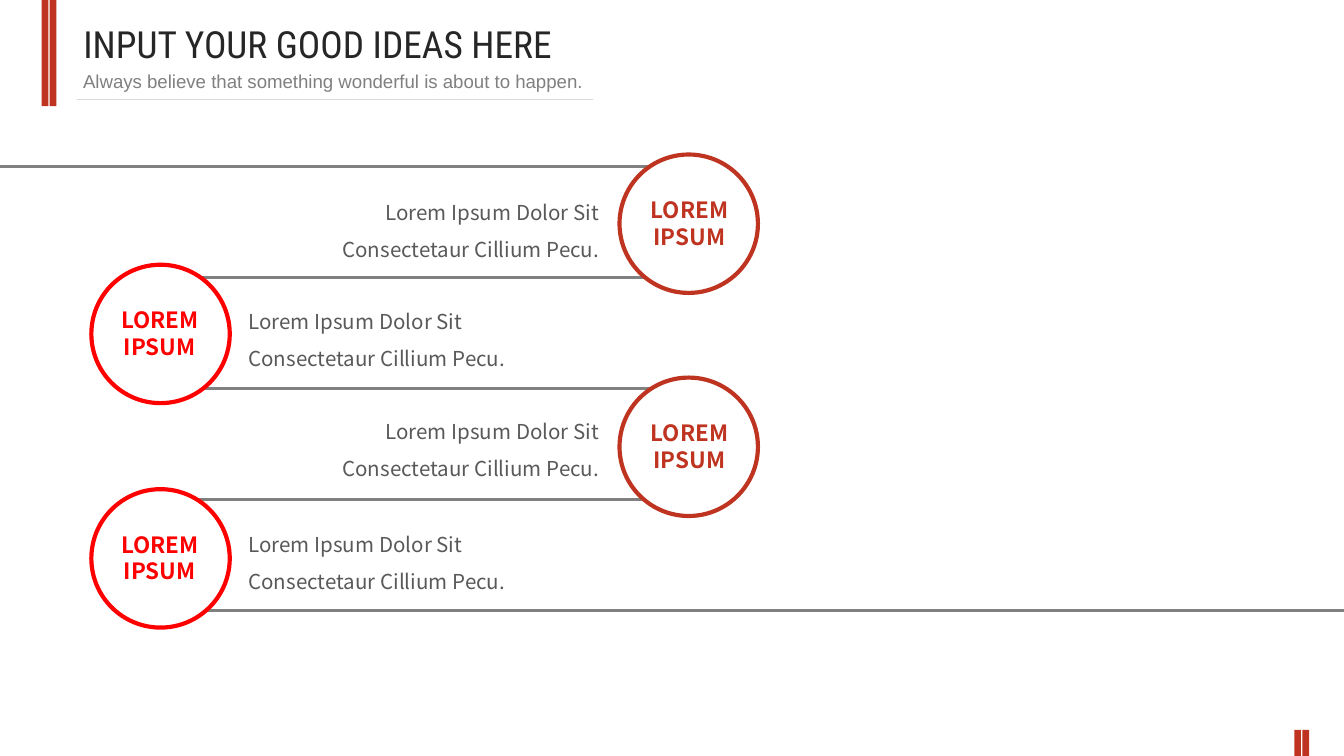
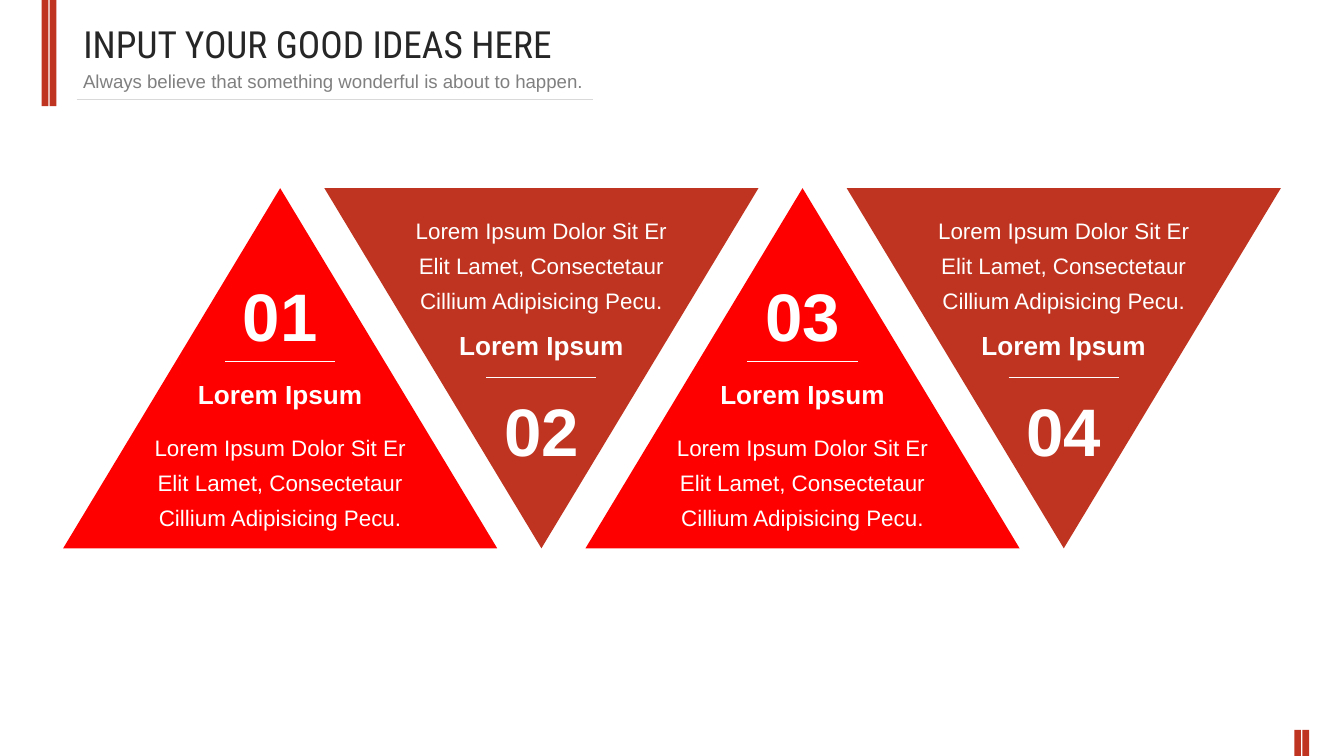
from dataclasses import dataclass

from lxml import etree
from pptx import Presentation
from pptx.dml.color import RGBColor
from pptx.enum.shapes import MSO_CONNECTOR, MSO_SHAPE
from pptx.enum.text import MSO_ANCHOR, MSO_AUTO_SIZE, PP_ALIGN
from pptx.oxml.ns import qn
from pptx.util import Inches, Pt

# Shared colours and fonts
BRICK = RGBColor(0xBF, 0x34, 0x20)
RED = RGBColor(0xFF, 0x00, 0x00)
WHITE = RGBColor(0xFF, 0xFF, 0xFF)
INK = RGBColor(0x26, 0x26, 0x26)
BODY_GREY = RGBColor(0x59, 0x59, 0x59)
GREY = RGBColor(0x80, 0x80, 0x80)
PALE_GREY = RGBColor(0xD9, 0xD9, 0xD9)
TITLE_FONT = "Roboto Condensed"
PLAIN_FONT = "Arial"
LABEL_FONT = "Noto Sans CJK SC"

# Widescreen page, 16 to 9
PAGE_WIDTH = 10
PAGE_HEIGHT = PAGE_WIDTH * 9 / 16


@dataclass(frozen=True)
class TextStyle:
    font: str
    size: float
    color: RGBColor
    bold: bool = False
    align: PP_ALIGN = PP_ALIGN.LEFT
    spacing: float = 1.0
    before: float = 0


TITLE = TextStyle(TITLE_FONT, 20, INK)
SUBTITLE = TextStyle(PLAIN_FONT, 10, GREY)
CENTER = PP_ALIGN.CENTER
HEADING = TextStyle(PLAIN_FONT, 14, WHITE, True, CENTER)
NUMBER = TextStyle(PLAIN_FONT, 36, WHITE, True, CENTER)
TRIANGLE_BODY = TextStyle(PLAIN_FONT, 12, WHITE, False, CENTER, 1.3, 6)


# Drawing helpers
def write(box, text: str, style: TextStyle, wrap: bool = True) -> None:
    frame = box.text_frame
    frame.text = text
    frame.word_wrap = wrap
    frame.auto_size = MSO_AUTO_SIZE.SHAPE_TO_FIT_TEXT
    frame.vertical_anchor = MSO_ANCHOR.TOP
    for para in frame.paragraphs:
        para.alignment = style.align
        para.line_spacing = style.spacing
        para.space_before = Pt(style.before)
        for span in para.runs:
            span.font.name = style.font
            span.font.size = Pt(style.size)
            span.font.bold = style.bold
            span.font.color.rgb = style.color


def add_text(page, left: float, top: float, width: float, height: float,
             text: str, style: TextStyle, wrap: bool = True) -> None:
    box = page.shapes.add_textbox(Inches(left), Inches(top), Inches(width), Inches(height))
    write(box, text, style, wrap)


def add_shape(page, kind: MSO_SHAPE, left: float, top: float, width: float,
              height: float, fill: RGBColor, outline: RGBColor | None = None):
    shape = page.shapes.add_shape(
        kind, Inches(left), Inches(top), Inches(width), Inches(height))
    shape.shadow.inherit = False
    shape.fill.solid()
    shape.fill.fore_color.rgb = fill
    if outline is None:
        shape.line.fill.background()
    else:
        shape.line.color.rgb = outline
        shape.line.width = Pt(2.25)
    return shape


def add_rule(page, start: float, end: float, top: float,
             color: RGBColor, weight: float) -> None:
    rule = page.shapes.add_connector(
        MSO_CONNECTOR.STRAIGHT, Inches(start), Inches(top), Inches(end), Inches(top))
    rule.line.color.rgb = color
    rule.line.width = Pt(weight)
    etree.SubElement(rule._element.spPr, qn("a:effectLst"))


def add_page(deck):
    """Add a page with the shared bars, title, subtitle and header rule."""
    page = deck.slides.add_slide(deck.slide_layouts[5])
    for left, top, height in ((0.31, 0, 0.79), (9.63, 5.43, PAGE_HEIGHT - 5.43)):
        for offset in (0, 0.06):
            add_shape(page, MSO_SHAPE.RECTANGLE, left + offset, top, 0.05, height, BRICK)
    add_rule(page, 0.57, 4.41, 0.74, PALE_GREY, 0.75)
    title = page.shapes.title
    title.left, title.top = Inches(0.52), Inches(0.11)
    title.width, title.height = Inches(4.23), Inches(0.44)
    write(title, "INPUT YOUR GOOD IDEAS HERE", TITLE)
    add_text(page, 0.52, 0.47, 4.23, 0.27,
             "Always\u00a0believe that something\u00a0wonderful is about to happen.", SUBTITLE)
    return page


# Zigzag of circles
@dataclass(frozen=True)
class Stop:
    on_right: bool
    circle_top: float
    body_top: float


STOPS = (Stop(True, 1.15, 1.35), Stop(False, 1.97, 2.16),
         Stop(True, 2.81, 2.98), Stop(False, 3.64, 3.82))


def add_stop(page, stop: Stop) -> None:
    color = BRICK if stop.on_right else RED
    left = 4.61 if stop.on_right else 0.68
    label_left = 4.72 if stop.on_right else 0.78
    add_shape(page, MSO_SHAPE.OVAL, left, stop.circle_top, 1.03, 1.03, WHITE, color)
    add_text(page, label_left, stop.circle_top + 0.26, 0.82, 0.5, "LOREM\nIPSUM",
             TextStyle(LABEL_FONT, 12, color, True, CENTER), wrap=False)
    body_left, body_height, align = (
        (2.16, 0.62, PP_ALIGN.RIGHT) if stop.on_right else (1.75, 0.66, PP_ALIGN.LEFT))
    add_text(page, body_left, stop.body_top, 2.4, body_height,
             "Lorem Ipsum Dolor Sit Consectetaur Cillium Pecu.",
             TextStyle(LABEL_FONT, 11, BODY_GREY, False, align, 1.5))


def build_zigzag(deck) -> None:
    page = add_page(deck)
    first, last = 1.24, 4.54
    gap = (last - first) / len(STOPS)
    for index in range(len(STOPS) + 1):
        start = 0 if index == 0 else 1.2
        end = PAGE_WIDTH if index == len(STOPS) else 5.1
        add_rule(page, start, end, first + gap * index, GREY, 1.5)
    for stop in STOPS:
        add_stop(page, stop)


# Row of alternating triangles
@dataclass(frozen=True)
class TriangleLayout:
    color: RGBColor
    rotation: float
    heading_top: float
    body_top: float
    number_top: float
    rule_top: float


POINT_UP = TriangleLayout(RED, 0, 2.77, 3.12, 1.99, 2.69)
POINT_DOWN = TriangleLayout(BRICK, 180, 2.4, 1.51, 2.85, 2.81)
TRIANGLE_WIDTH = 3.23


def add_triangle(page, left: float, number: str, layout: TriangleLayout) -> None:
    triangle = add_shape(page, MSO_SHAPE.ISOSCELES_TRIANGLE, left, 1.4,
                         TRIANGLE_WIDTH, 2.68, layout.color)
    triangle.rotation = layout.rotation
    center = left + TRIANGLE_WIDTH / 2
    body = "Lorem Ipsum Dolor Sit Er Elit Lamet, Consectetaur Cillium Adipisicing Pecu."
    for text, style, top, width, height in (
            ("Lorem Ipsum", HEADING, layout.heading_top, 1.77, 0.34),
            (body, TRIANGLE_BODY, layout.body_top, 2.28, 0.89),
            (number, NUMBER, layout.number_top, 1.07, 0.71)):
        add_text(page, center - width / 2, top, width, height, text, style)
    add_rule(page, center - 0.41, center + 0.41, layout.rule_top, WHITE, 0.75)


def build_triangles(deck) -> None:
    page = add_page(deck)
    first, last, count = 0.47, 6.3, 4
    gap = (last - first) / (count - 1)
    for index in range(count):
        layout = POINT_DOWN if index % 2 else POINT_UP
        add_triangle(page, first + gap * index, f"{index + 1:02d}", layout)


deck = Presentation()
deck.slide_width, deck.slide_height = Inches(PAGE_WIDTH), Inches(PAGE_HEIGHT)
build_zigzag(deck)
build_triangles(deck)
deck.save("out.pptx")
